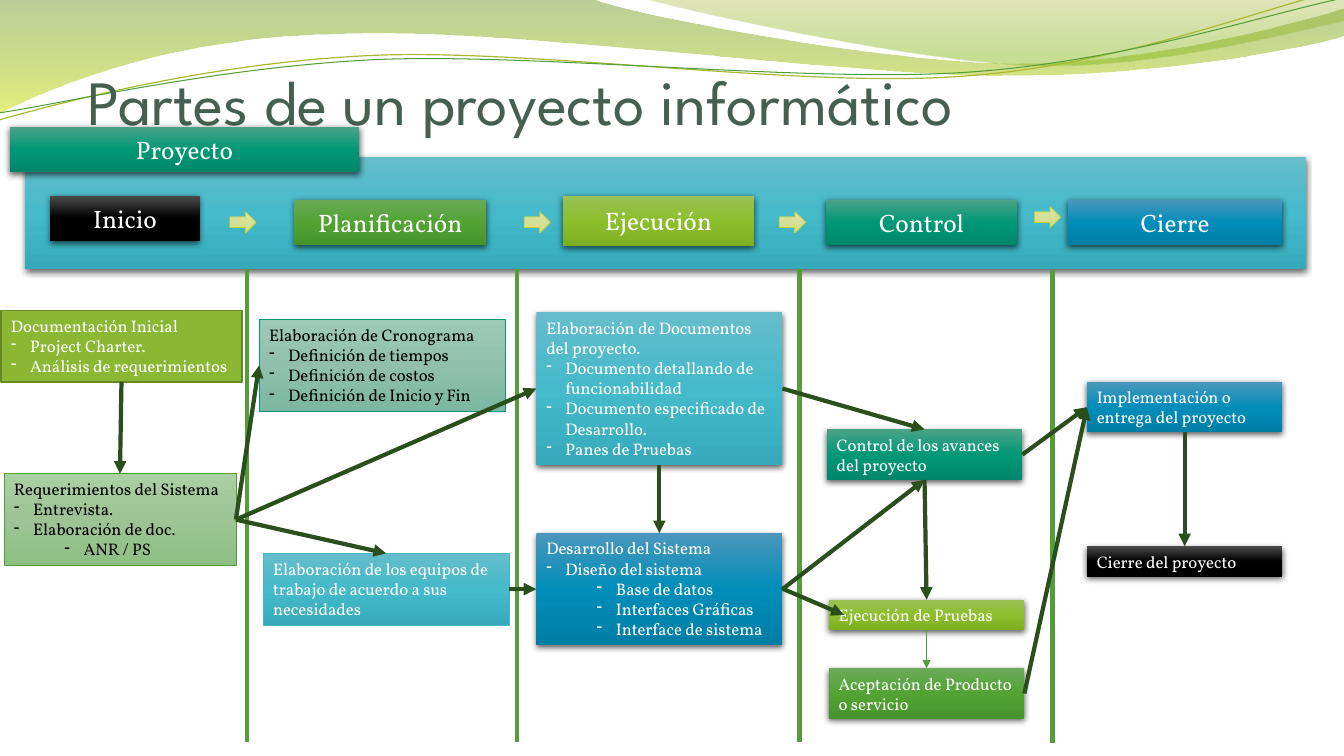
from lxml.etree import SubElement
from pptx import Presentation
from pptx.dml.color import RGBColor
from pptx.enum.shapes import MSO_CONNECTOR, MSO_SHAPE
from pptx.enum.text import MSO_ANCHOR, MSO_AUTO_SIZE, PP_ALIGN
from pptx.oxml.ns import qn
from pptx.util import Pt

PX = 9144
TITLE_FONT, BODY_FONT = "League Spartan", "Vollkorn"
TOP, LEFT, BOTTOM, RIGHT = range(4)
COLORS = {
    "title": "455F51", "white": "FFFFFF", "black": "000000",
    "divider": "549E39", "flow": "2A4F1C", "olive": "8AB833",
    "olive_edge": "668826", "green_edge": "029676", "teal_edge": "4AB5C4",
    "arrow_edge": "C0CF3A", "ribbon": "A9B733",
    "teal_0": "65BDCB", "teal_50": "44BACA", "teal_100": "36AABA",
    "green_0": "4BA387", "green_50": "009877", "green_100": "00876A",
    "night_0": "4B4B4B", "night_50": "000000", "night_100": "000000",
    "lime_0": "98C256", "lime_50": "8CBF2C", "lime_100": "7EAF22",
    "blue_0": "4B97BC", "blue_50": "018DB9", "blue_100": "007EA5",
    "leaf_0": "6BAA59", "leaf_50": "52A334", "leaf_100": "46952A",
    "sage_0": "AACFA2", "sage_50": "9EC496", "sage_100": "8DBF82",
    "mint_0": "9DCAB8", "mint_50": "90C0AD", "mint_100": "7CB7A1",
    "arrow_0": "DDE6A6", "arrow_50": "D7E098", "arrow_100": "D4E084",
    "wave_0": "69921C", "wave_100": "CCE10F",
    "crest_0": "9BAA1A", "crest_80": "81BA16",
}
WAVES = [
    ("wave", (45, 55), [(0, 0), (587, -1), (634, 17, 884, 63, 1011, 63),
                        (1137, 63, 1277, 26, 1333, 9), (1334, 36),
                        (1311, 44, 1159, 76, 994, 75), (829, 75, 509, 28, 343, 34),
                        (172, 36, 61, 83, -2, 113)]),
    ("crest", (30, 45), [(638, -1), (679, 11, 909, 62, 1025, 65),
                         (1140, 69, 1282, 32, 1333, 21), (1333, 0)]),
]
RIBBONS = [
    ("ribbon", 0.85, [(-1, 119), (63, 101, 210, 62, 369, 55),
                      (527, 48, 789, 87, 949, 76), (1110, 66, 1251, 8, 1330, -10)]),
    ("divider", 0.75, [(-1, 112), (62, 103, 218, 66, 377, 59),
                       (537, 53, 796, 82, 955, 72), (1114, 62, 1255, 14, 1333, -2)]),
]
PHASES = [
    ("Proyecto", (10, 126, 346, 45), "green"),
    ("Inicio", (50, 194, 148, 45), "night"),
    ("Ejecución", (558, 194, 190, 50), "lime"),
    ("Control", (819, 198, 190, 45), "green"),
    ("Cierre", (1059, 198, 213, 45), "blue"),
    ("Planificación", (292, 198, 190, 45), "leaf"),
]
DIVIDERS = [(245, 267), (513, 267), (793, 267), (1044, 268)]
PHASE_ARROWS = [(228, 210), (520, 210), (773, 210), (1026, 205)]
CARDS = {
    "inicial": ((1, 308, 239, 71), "olive", "white", ("olive_edge", 1), [
        (0, "Documentación Inicial"), (1, "Project Charter."),
        (1, "Análisis de requerimientos")]),
    "requerimientos": ((4, 470, 230, 91), "sage", "black", ("divider", 0.5), [
        (0, "Requerimientos del Sistema"), (1, "Entrevista."),
        (1, "Elaboración de doc."), (2, "ANR / PS")]),
    "cronograma": ((257, 317, 244, 91), "mint", "black", ("green_edge", 0.5), [
        (0, "Elaboración de Cronograma"), (1, "Definición de tiempos"),
        (1, "Definición de costos"), (1, "Definición de Inicio y Fin")]),
    "equipos": ((261, 549, 244, 71), "teal", "white", ("teal_edge", 0.5), [
        (0, "Elaboración de los equipos de trabajo de acuerdo a sus necesidades")]),
    "documentos": ((532, 310, 244, 151), "teal", "white", None, [
        (0, "Elaboración de Documentos del proyecto."),
        (1, "Documento detallando de funcionabilidad"),
        (1, "Documento especificado de Desarrollo."), (1, "Panes de Pruebas")]),
    "desarrollo": ((532, 529, 244, 111), "blue", "white", None, [
        (0, "Desarrollo del Sistema"), (1, "Diseño del sistema"),
        (2, "Base de datos"), (2, "Interfaces Gráficas"), (2, "Interface de sistema")]),
    "avances": ((820, 426, 194, 50), "green", "white", None, [
        (0, "Control de los avances del proyecto")]),
    "pruebas": ((822, 595, 194, 30), "lime", "white", None, [
        (0, "Ejecución de Pruebas")]),
    "entrega": ((1078, 379, 194, 50), "blue", "white", None, [
        (0, "Implementación o entrega del proyecto")]),
    "cierre": ((1078, 542, 194, 30), "night", "white", None, [
        (0, "Cierre del proyecto")]),
    "aceptacion": ((822, 663, 194, 50), "leaf", "white", None, [
        (0, "Aceptación de Producto o servicio")]),
}
FLOWS = [
    ("inicial", BOTTOM, "requerimientos", TOP),
    ("requerimientos", RIGHT, "cronograma", LEFT),
    ("requerimientos", RIGHT, "equipos", TOP),
    ("requerimientos", RIGHT, "documentos", LEFT),
    ("equipos", RIGHT, "desarrollo", LEFT),
    ("documentos", BOTTOM, "desarrollo", TOP),
    ("documentos", RIGHT, "avances", TOP),
    ("desarrollo", RIGHT, "avances", BOTTOM),
    ("avances", BOTTOM, "pruebas", TOP),
    ("aceptacion", RIGHT, "entrega", LEFT),
    ("avances", RIGHT, "entrega", LEFT),
    ("entrega", BOTTOM, "cierre", TOP),
]


def color(name):
    """Return the named colour as RGB."""
    return RGBColor.from_string(COLORS[name])


def paint(shape, fill, edge=None, opacities=(100, 100, 100)):
    """Give a shape a plain, gradient or empty fill and set its edge."""
    shape.shadow.inherit = False
    if fill is None:
        shape.fill.background()
    elif fill in COLORS:
        shape.fill.solid()
        shape.fill.fore_color.rgb = color(fill)
    else:
        shape.fill.gradient()
        shape.fill.gradient_angle = 270
        stops = shape.element.spPr.find(".//" + qn("a:gsLst"))
        stops.clear()
        shades = [key for key in COLORS if key.startswith(fill + "_") and key[-1].isdigit()]
        for shade, opacity in zip(shades, opacities):
            stop = SubElement(stops, qn("a:gs"), pos=str(int(shade.split("_")[1]) * 1000))
            tone = SubElement(stop, qn("a:srgbClr"), val=COLORS[shade])
            SubElement(tone, qn("a:alpha"), val=str(opacity * 1000))
    if edge:
        shape.line.color.rgb = color(edge[0])
        shape.line.width = Pt(edge[1])
    else:
        shape.line.fill.background()


def add_box(slide, place, fill, edge=None, preset=MSO_SHAPE.RECTANGLE):
    """Add a painted shape, with a soft shadow when it has no edge."""
    box = slide.shapes.add_shape(preset, *(length * PX for length in place))
    paint(box, fill, edge)
    if not edge:
        effects = box.element.spPr.find(qn("a:effectLst"))
        shadow = SubElement(effects, qn("a:outerShdw"), blurRad="57150", dist="19050",
                            dir="5400000", algn="ctr", rotWithShape="0")
        tone = SubElement(shadow, qn("a:srgbClr"), val=COLORS["black"])
        SubElement(tone, qn("a:alpha"), val="63000")
    return box


def add_run(paragraph, text, size, ink, font=BODY_FONT):
    """Add one formatted run."""
    run = paragraph.add_run()
    run.text = text
    run.font.size = Pt(size)
    run.font.name = font
    run.font.color.rgb = color(ink)


def add_phase(slide, name, place, fill):
    """Add a phase label with centred text."""
    frame = add_box(slide, place, fill).text_frame
    frame.word_wrap = True
    frame.vertical_anchor = MSO_ANCHOR.MIDDLE
    frame.paragraphs[0].alignment = PP_ALIGN.CENTER
    add_run(frame.paragraphs[0], name, 18, "white")


def add_card(slide, place, fill, ink, edge, entries):
    """Add a task card with a heading and dashed entries."""
    card = add_box(slide, place, fill, edge)
    frame = card.text_frame
    frame.word_wrap = True
    frame.auto_size = MSO_AUTO_SIZE.SHAPE_TO_FIT_TEXT
    frame.vertical_anchor = MSO_ANCHOR.TOP
    for index, (level, text) in enumerate(entries):
        paragraph = frame.add_paragraph() if index else frame.paragraphs[0]
        paragraph.alignment = PP_ALIGN.LEFT
        if level:
            paragraph.level = level - 1
            properties = paragraph._p.get_or_add_pPr()
            properties.set("marL", str((50 * level - 31) * PX))
            properties.set("indent", str(-19 * PX))
            SubElement(properties, qn("a:buFontTx"))
            SubElement(properties, qn("a:buChar"), char="-")
        add_run(paragraph, text, 12, ink)
    return card


def add_line(slide, start, end, ink, width, arrow=True):
    """Add a straight line, with an arrowhead at its end if wanted."""
    line = slide.shapes.add_connector(
        MSO_CONNECTOR.STRAIGHT, *(length * PX for length in start + end))
    line.line.color.rgb = color(ink)
    line.line.width = Pt(width)
    if arrow:
        SubElement(line.line._get_or_add_ln(), qn("a:tailEnd"), type="triangle")
    SubElement(line.element.spPr, qn("a:effectLst"))
    return line


def add_curve(slide, outline, close):
    """Add a freeform whose six-number segments are cubic curves."""
    start, *segments = outline
    points = [segment[i:i + 2] for segment in segments for i in range(0, len(segment), 2)]
    builder = slide.shapes.build_freeform(*start, scale=PX)
    builder.add_line_segments(points, close=close)
    curve = builder.convert_to_shape()
    steps = curve.element.spPr.iter(qn("a:lnTo"))
    pending = list(steps)
    for segment in segments:
        first = pending.pop(0)
        if len(segment) == 6:
            first.tag = qn("a:cubicBezTo")
            for _ in range(2):
                extra = pending.pop(0)
                first.append(extra[0])
                extra.getparent().remove(extra)
    return curve


def add_header(slide):
    """Draw the waves and set the title over them."""
    for fill, opacities, outline in WAVES:
        paint(add_curve(slide, outline, True), fill, opacities=opacities)
    for ink, width, outline in RIBBONS:
        paint(add_curve(slide, outline, False), None, (ink, width))
    title = slide.shapes.title
    title.left, title.top, title.width, title.height = (n * PX for n in (87, 13, 1049, 125))
    slide.shapes._spTree.append(title.element)
    frame = title.text_frame
    frame.auto_size = MSO_AUTO_SIZE.NONE
    frame.word_wrap = True
    frame.vertical_anchor = MSO_ANCHOR.BOTTOM
    frame.margin_left = frame.margin_right = frame.margin_bottom = 0
    frame.margin_top = 5 * PX
    heading = frame.paragraphs[0]
    heading.alignment = PP_ALIGN.LEFT
    heading.line_spacing = 0.9
    add_run(heading, "Partes de un proyecto informático", 45, "title", TITLE_FONT)


def main():
    """Build the slide and save it."""
    deck = Presentation()
    deck.slide_width, deck.slide_height = 1333 * PX, 750 * PX
    slide = deck.slides.add_slide(deck.slide_layouts[5])
    add_header(slide)
    add_box(slide, (25, 156, 1270, 111), "teal")
    for phase in PHASES:
        add_phase(slide, *phase)
    for x, y in DIVIDERS:
        add_line(slide, (x, y), (x, y + 469), "divider", 3, arrow=False)
    for x, y in PHASE_ARROWS:
        add_box(slide, (x, y, 26, 21), "arrow", ("arrow_edge", 0.5), MSO_SHAPE.RIGHT_ARROW)
    cards = {name: add_card(slide, *details) for name, details in CARDS.items()}
    links = [(flow, "flow", 3) for flow in FLOWS]
    links.append((("pruebas", BOTTOM, "aceptacion", TOP), "divider", 0.5))
    for (origin, exit_side, target, entry_side), ink, width in links:
        link = add_line(slide, (0, 0), (0, 0), ink, width)
        link.begin_connect(cards[origin], exit_side)
        link.end_connect(cards[target], entry_side)
    add_line(slide, (776, 584), (837, 610), "flow", 3)
    deck.save("out.pptx")


if __name__ == "__main__":
    main()
